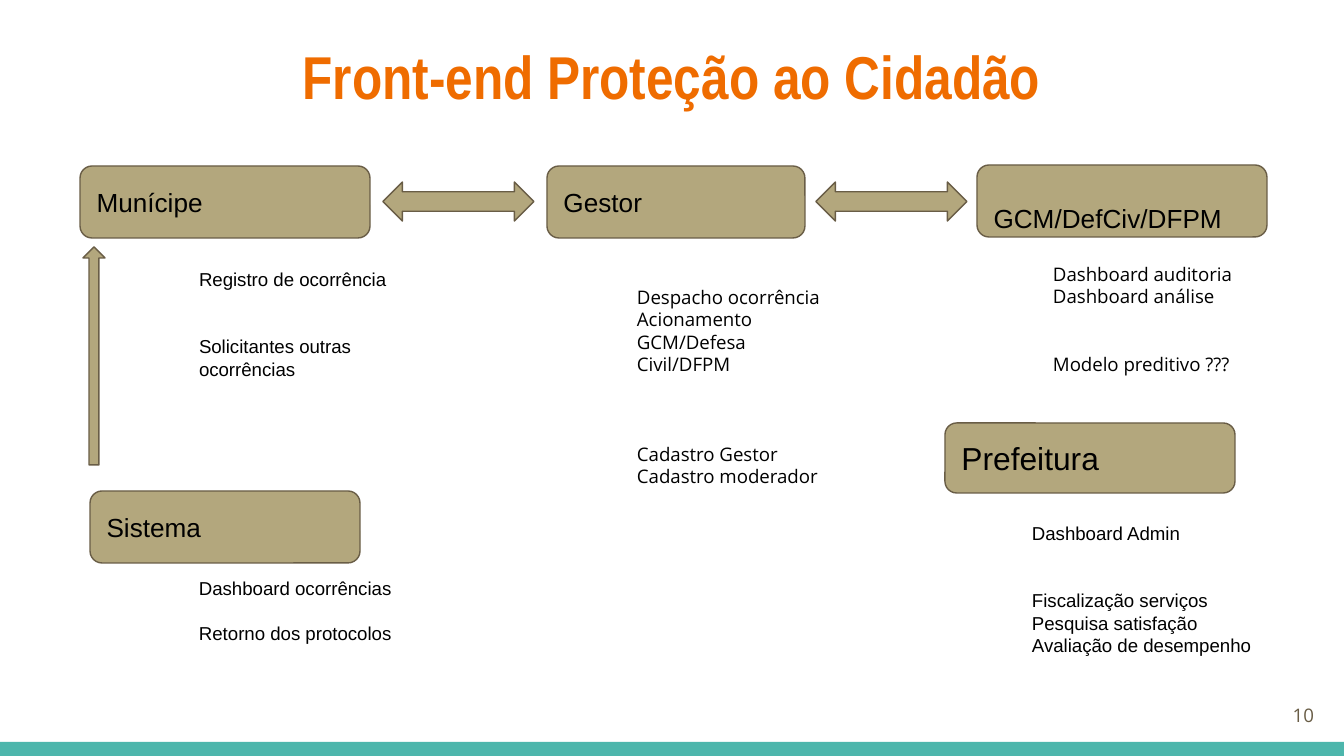
from pptx import Presentation
from pptx.dml.color import RGBColor
from pptx.enum.shapes import MSO_SHAPE
from pptx.enum.text import MSO_ANCHOR, MSO_AUTO_SIZE, PP_ALIGN
from pptx.util import Pt

PX = 914400 / 134.4
INSET = 13
LINE_HEIGHT = 12
SAND, BROWN, TEAL, ORANGE = "B3A77D", "695D46", "4DB6AC", "EF6C00"
BLACK = "000000"


def px(length):
    return round(length * PX)


def rgb(color):
    return RGBColor.from_string(color)


def set_frame(frame, anchor, top=INSET, bottom=INSET):
    frame.word_wrap = True
    frame.auto_size = MSO_AUTO_SIZE.NONE
    frame.vertical_anchor = anchor
    frame.margin_left = frame.margin_right = px(INSET)
    frame.margin_top, frame.margin_bottom = px(top), px(bottom)


def add_run(paragraph, text, size, font="Arial", color=BLACK, bold=False):
    run = paragraph.add_run()
    run.text = text
    run.font.name = font
    run.font.size = Pt(size)
    run.font.bold = bold
    run.font.color.rgb = rgb(color)


def add_filled(slide, kind, box, fill=SAND, outline=BROWN, adjustments=()):
    shape = slide.shapes.add_shape(kind, *map(px, box))
    shape.shadow.inherit = False
    shape.fill.solid()
    shape.fill.fore_color.rgb = rgb(fill)
    if outline:
        shape.line.color.rgb = rgb(outline)
        shape.line.width = Pt(0.75)
    else:
        shape.line.fill.background()
    for index, value in enumerate(adjustments):
        shape.adjustments[index] = value
    return shape


def add_title(slide, box, text):
    title = slide.shapes.title
    title.left, title.top, title.width, title.height = map(px, box)
    set_frame(title.text_frame, MSO_ANCHOR.TOP, top=17)
    paragraph = title.text_frame.paragraphs[0]
    paragraph.alignment = PP_ALIGN.CENTER
    add_run(paragraph, text, 32.4, "Arial Narrow", ORANGE, bold=True)


def add_actor(slide, box, name, size=14, top=INSET, bottom=INSET):
    actor = add_filled(slide, MSO_SHAPE.ROUNDED_RECTANGLE, box, adjustments=[0.167])
    set_frame(actor.text_frame, MSO_ANCHOR.MIDDLE, top, bottom)
    paragraph = actor.text_frame.paragraphs[0]
    paragraph.alignment = PP_ALIGN.LEFT
    add_run(paragraph, name, size)


def add_tasks(slide, box, groups, gap, font="Arial"):
    """Lists groups of tasks, with a gap counted in lines between groups."""
    frame = slide.shapes.add_textbox(*map(px, box)).text_frame
    set_frame(frame, MSO_ANCHOR.TOP)
    paragraph = None
    for group_index, group in enumerate(groups):
        for task_index, task in enumerate(group):
            paragraph = frame.add_paragraph() if paragraph else frame.paragraphs[0]
            paragraph.line_spacing = Pt(LINE_HEIGHT)
            if group_index and not task_index:
                paragraph.space_before = Pt(gap * LINE_HEIGHT)
            add_run(paragraph, task, 10, font)


def add_footer(slide, box, number):
    left, top, width, height = box
    add_filled(slide, MSO_SHAPE.RECTANGLE, box, TEAL, None)
    page = slide.shapes.add_textbox(
        *map(px, (left + width - 98, top - 56, 81, 58)))
    set_frame(page.text_frame, MSO_ANCHOR.MIDDLE)
    paragraph = page.text_frame.paragraphs[0]
    paragraph.alignment = PP_ALIGN.RIGHT
    add_run(paragraph, number, 10, "Open Sans", BROWN)


def add_flow(slide):
    add_actor(slide, (90, 491, 270, 72), "Sistema")
    add_actor(slide, (80, 166, 290, 72), "Munícipe")
    add_actor(slide, (547, 166, 258, 72), "Gestor")
    add_actor(slide, (945, 423, 290, 70), "Prefeitura", size=17)
    add_actor(slide, (977, 165, 290, 72), "GCM/DefCiv/DFPM", top=38, bottom=4)

    add_filled(slide, MSO_SHAPE.UP_ARROW, (83, 247, 22, 218), adjustments=[0.45, 0.5])
    for left in (383, 816):
        add_filled(slide, MSO_SHAPE.LEFT_RIGHT_ARROW, (left, 182, 151, 39),
                   adjustments=[0.5, 0.5])

    add_tasks(slide, (186, 255, 270, 140),
              [["Registro de ocorrência"], ["Solicitantes outras ocorrências"]], gap=2)
    add_tasks(slide, (186, 564, 223, 95),
              [["Dashboard ocorrências"], ["Retorno dos protocolos"]], gap=1)
    add_tasks(slide, (1019, 509, 245, 218),
              [["Dashboard Admin"],
               ["Fiscalização serviços", "Pesquisa satisfação",
                "Avaliação de desempenho"]], gap=2)
    add_tasks(slide, (1040, 250, 245, 140),
              [["Dashboard auditoria", "Dashboard análise"],
               ["Modelo preditivo ???"]], gap=2, font="Open Sans")
    add_tasks(slide, (624, 273, 223, 231),
              [["Despacho ocorrência", "Acionamento GCM/Defesa Civil/DFPM"],
               ["Cadastro Gestor", "Cadastro moderador"]], gap=3, font="Open Sans")


def main():
    deck = Presentation()
    deck.slide_width, deck.slide_height = px(1344), px(756)
    slide = deck.slides.add_slide(deck.slide_layouts[5])
    add_title(slide, (46, 22, 1252, 91), "Front-end Proteção ao Cidadão")
    add_flow(slide)
    add_footer(slide, (0, 742, 1344, 14), "10")
    deck.save("out.pptx")


if __name__ == "__main__":
    main()
